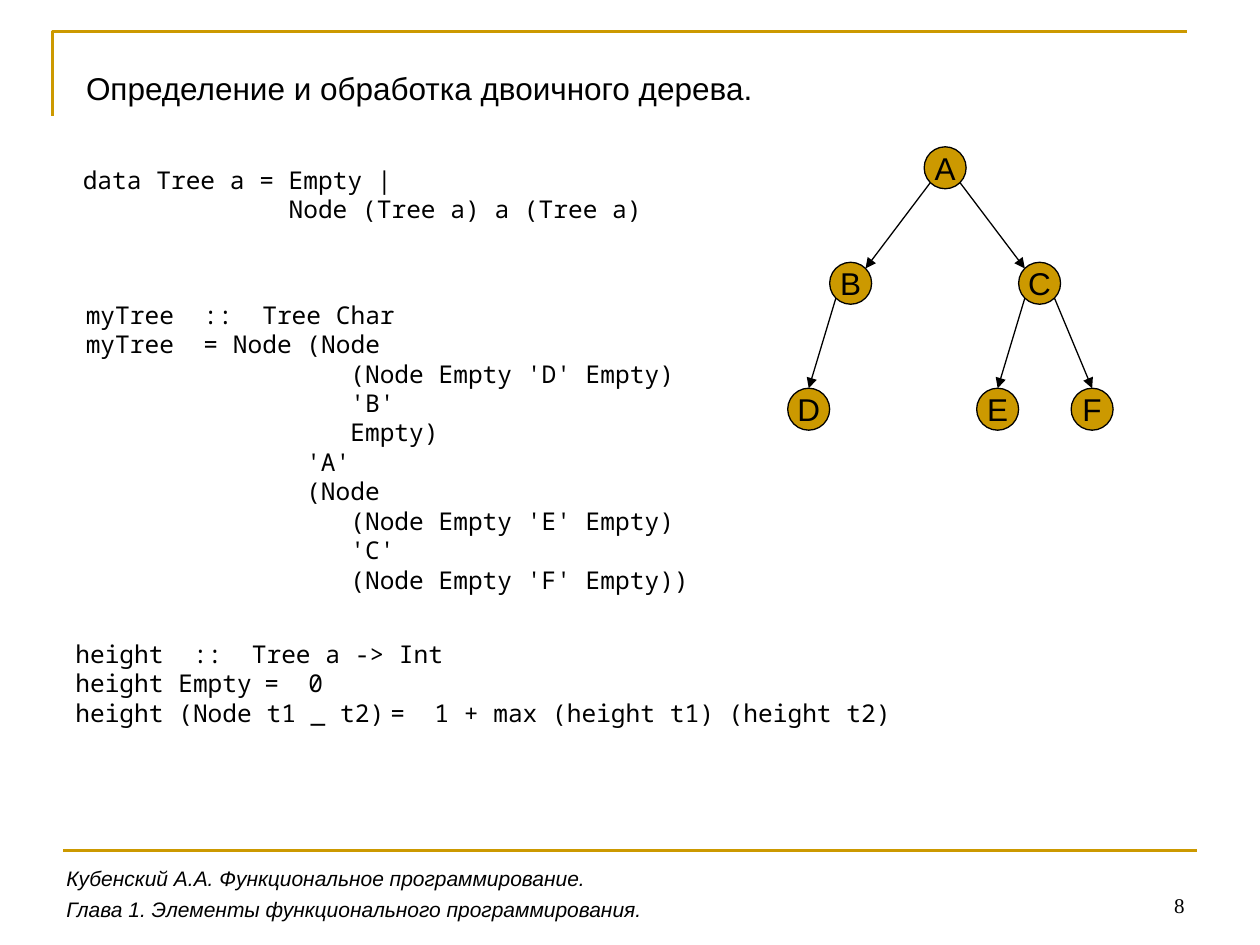
from math import sqrt

from lxml.etree import SubElement
from pptx import Presentation
from pptx.dml.color import RGBColor
from pptx.enum.shapes import MSO_CONNECTOR, MSO_SHAPE
from pptx.enum.text import MSO_ANCHOR, PP_ALIGN
from pptx.oxml.ns import qn
from pptx.util import Cm, Pt

GOLD = RGBColor(0xCC, 0x99, 0x00)
BLACK = RGBColor(0x00, 0x00, 0x00)
LABEL = {"name": "Arial", "size": Pt(18)}
FOOTER = {"name": "Arial", "size": Pt(12), "italic": True}
NUMBER = {"name": "Times New Roman", "size": Pt(12)}
CODE = {"name": "Noto Sans Mono", "size": Pt(14)}
CHAR = Pt(8.4)

DATA = [(0, "data Tree a = Empty |"), (14, "Node (Tree a) a (Tree a)")]
MY_TREE = [
    (0, "myTree  ::  Tree Char"),
    (0, "myTree  = Node (Node "),
    (18, "(Node Empty 'D' Empty)"),
    (18, "'B'"),
    (18, "Empty)"),
    (15, "'A'"),
    (15, "(Node"),
    (18, "(Node Empty 'E' Empty)"),
    (18, "'C'"),
    (18, "(Node Empty 'F' Empty))"),
]
HEIGHT = [
    (0, "height  ::  Tree a -> Int"),
    (0, "height Empty\t=  0"),
    (0, "height (Node t1 _ t2)\t=  1 + max (height t1) (height t2)"),
]
NODES = {"A": (13, 0), "B": (4, 11), "C": (22, 11),
         "D": (0, 23), "E": (18, 23), "F": (27, 23)}
EDGES = ["AB", "AC", "CF", "CE", "BD"]
TREE_COLS, NODE_SIZE = 31, 4


def write(p, text, font):
    """Add one run to a paragraph and format it."""
    r = p.add_run()
    r.text = text
    for name, value in font.items():
        setattr(r.font, name, value)
    r.font.color.rgb = BLACK


def add_text(s, box, text, font, align=PP_ALIGN.LEFT, anchor=MSO_ANCHOR.TOP):
    """Place a line of text in a box."""
    tf = s.shapes.add_textbox(*map(Cm, box)).text_frame
    tf.word_wrap, tf.vertical_anchor = True, anchor
    tf.paragraphs[0].alignment = align
    write(tf.paragraphs[0], text, font)


def add_title(s, box, text):
    """Move the title placeholder into a box and fill it."""
    sp = s.shapes.title
    sp.left, sp.top, sp.width, sp.height = map(Cm, box)
    tf = sp.text_frame
    tf.word_wrap, tf.vertical_anchor = True, MSO_ANCHOR.TOP
    tf.paragraphs[0].alignment = PP_ALIGN.LEFT
    write(tf.paragraphs[0], text, LABEL)


def add_code(s, box, lines, tab=None):
    """Place code lines, each indented to its column, with an optional tab column."""
    tf = s.shapes.add_textbox(*map(Cm, box)).text_frame
    tf.word_wrap = True
    for i, (col, text) in enumerate(lines):
        p = tf.add_paragraph() if i else tf.paragraphs[0]
        pPr = p._p.get_or_add_pPr()
        pPr.set("marL", str(col * CHAR))
        pPr.set("indent", "0")
        if tab:
            tabs = SubElement(pPr, qn("a:tabLst"))
            SubElement(tabs, qn("a:tab"), pos=str(tab * CHAR), algn="l")
        write(p, text, CODE)


def add_line(shapes, start, end, color, width, arrow=False):
    """Draw a straight line between two points."""
    cxn = shapes.add_connector(MSO_CONNECTOR.STRAIGHT, *map(Cm, start + end))
    cxn.line.color.rgb, cxn.line.width = color, Pt(width)
    if arrow:
        SubElement(cxn.line._get_or_add_ln(), qn("a:tailEnd"), type="triangle")
    SubElement(cxn._element.spPr, qn("a:effectLst"))


def add_corner(s, box):
    """Draw the open corner along the left and top of a box."""
    x, y, w, h = map(Cm, box)
    fb = s.shapes.build_freeform(x, y + h)
    fb.add_line_segments([(x, y), (x + w, y)], close=False)
    sp = fb.convert_to_shape()
    sp.shadow.inherit = False
    sp.fill.background()
    sp.line.color.rgb, sp.line.width = GOLD, Pt(1.5)


def add_tree(s, x, y, w):
    """Draw the binary tree, scaled to a width."""
    shapes = s.shapes.add_group_shape().shapes
    unit = w / TREE_COLS
    size, radius = NODE_SIZE * unit, NODE_SIZE * unit / 2
    diag = radius / sqrt(2)
    centers = {}
    for name, (col, row) in NODES.items():
        left, top = x + col * unit, y + row * unit
        centers[name] = left + radius, top + radius
        sp = shapes.add_shape(MSO_SHAPE.OVAL, *map(Cm, (left, top, size, size)))
        sp.shadow.inherit = False
        sp.fill.solid()
        sp.fill.fore_color.rgb = GOLD
        sp.line.color.rgb, sp.line.width = BLACK, Pt(0.75)
        tf = sp.text_frame
        tf.word_wrap, tf.vertical_anchor = False, MSO_ANCHOR.MIDDLE
        tf.paragraphs[0].alignment = PP_ALIGN.CENTER
        write(tf.paragraphs[0], name, LABEL)
    parents = {parent for parent, _ in EDGES}
    for parent, child in EDGES:
        (px, py), (cx, cy) = centers[parent], centers[child]
        side = diag if cx > px else -diag
        end = (cx - side, cy - diag) if child in parents else (cx, cy - radius)
        add_line(shapes, (px + side, py + diag), end, BLACK, 0.75, arrow=True)


def add_footer(s, x, y, w):
    """Place the footer rule, its two lines and the slide number."""
    add_line(s.shapes, (x, y), (x + w, y), GOLD, 1.5)
    add_text(s, (x + w - 5.92, y + 0.21, 5.92, 1.27), "8", NUMBER,
             PP_ALIGN.RIGHT, MSO_ANCHOR.BOTTOM)
    for i, text in enumerate((
            "Кубенский А.А. Функциональное программирование.",
            "Глава 1. Элементы функционального программирования.")):
        add_text(s, (x - 0.18, y + 0.18 + i * 0.61, 21.8, 0.76), text, FOOTER)


def build():
    """Build the slide and save it."""
    prs = Presentation()
    prs.slide_width, prs.slide_height = Cm(25.4), Cm(19.05)
    s = prs.slides.add_slide(prs.slide_layouts[5])
    add_corner(s, (1.06, 0.64, 22.86, 1.69))
    add_title(s, (1.48, 1.27, 22.43, 1.02),
              "Определение и обработка двоичного дерева.")
    add_footer(s, 1.27, 17.15, 22.86)
    add_code(s, (1.42, 3.2, 12.27, 1.45), DATA)
    add_tree(s, 15.88, 2.96, 6.56)
    add_code(s, (1.48, 5.92, 13.54, 6.17), MY_TREE)
    add_code(s, (1.27, 12.75, 22.86, 2.03), HEIGHT, tab=23)
    prs.save("out.pptx")


build()
